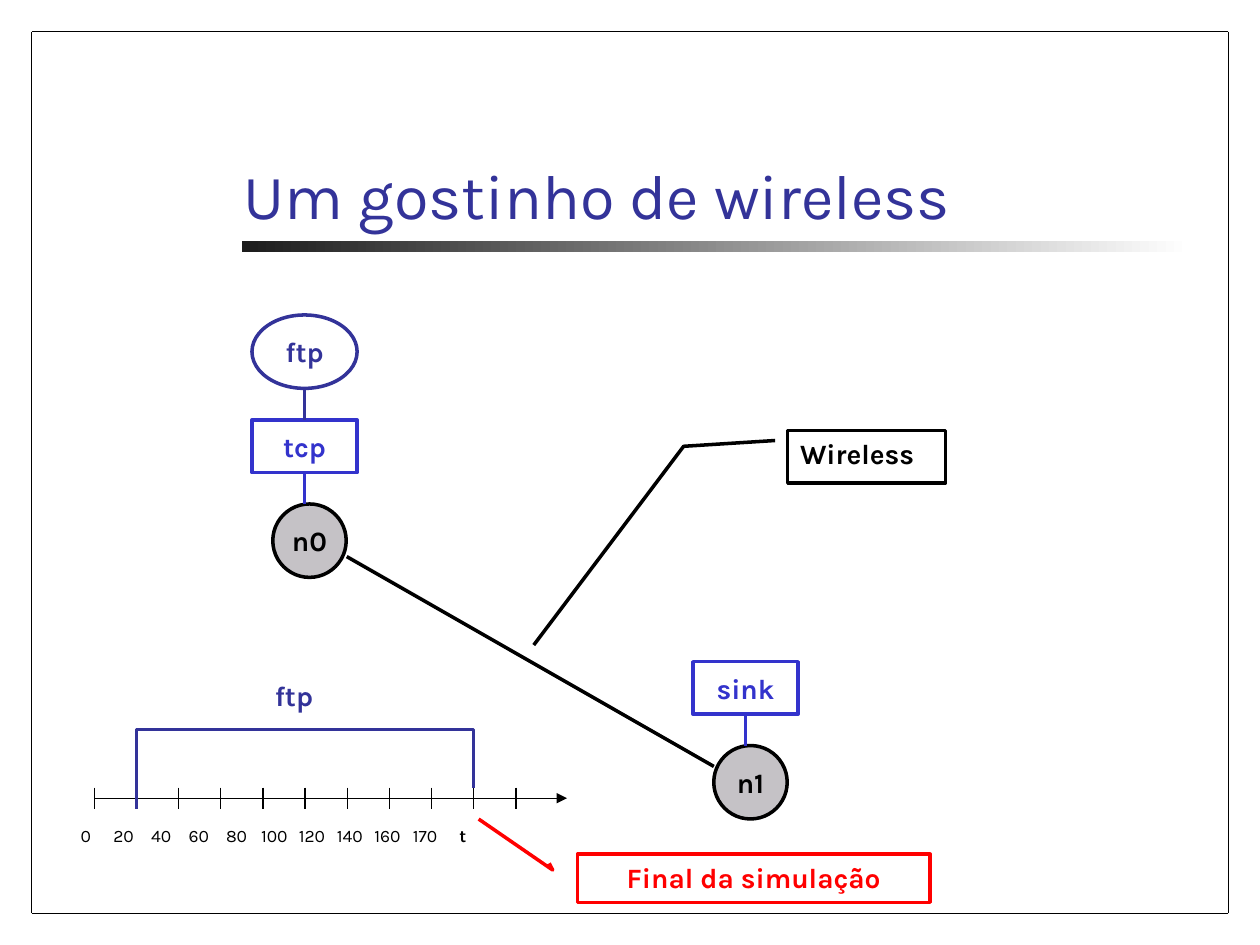
from lxml import etree
from pptx import Presentation
from pptx.dml.color import RGBColor
from pptx.enum.shapes import MSO_CONNECTOR as Link, MSO_SHAPE as Shape
from pptx.enum.text import MSO_ANCHOR as Anchor, MSO_AUTO_SIZE as AutoSize, PP_ALIGN as Align
from pptx.oxml.ns import qn
from pptx.util import Cm, Pt

COLORS = {
    "black": "000000", "white": "FFFFFF", "navy": "333399", "blue": "3333CC",
    "red": "FF0000", "gray": "C5C2C6", "charcoal": "1C1C1C",
}
FONT = "Karla"


def rgb(name):
    return RGBColor.from_string(COLORS[name])


def add_text(para, text, size=16, color="black", bold=True, align=Align.LEFT):
    para.alignment = align
    span = para.add_run()
    span.text = text
    span.font.name = FONT
    span.font.size = Pt(size)
    span.font.bold = bold
    span.font.color.rgb = rgb(color)


class Diagram:
    """Holds the line weights and the current page."""
    thick = Pt(2)
    thin = Pt(0.75)

    def __init__(self, page):
        self.page = page

    def title(self, text, left, top, width, height):
        box = self.page.shapes.title
        box.left, box.top, box.width, box.height = map(Cm, (left, top, width, height))
        frame = box.text_frame
        frame.auto_size = AutoSize.NONE
        frame.vertical_anchor = Anchor.BOTTOM
        add_text(frame.paragraphs[0], text, size=36, color="navy", bold=False)

    def gradient_bar(self, left, top, width, height):
        bar = self.page.shapes.add_shape(
            Shape.RECTANGLE, *map(Cm, (left, top, width, height)))
        bar.shadow.inherit = False
        bar.line.fill.background()
        bar.fill.gradient()
        bar.fill.gradient_angle = 180
        for stop, color in zip(bar.fill.gradient_stops, ("white", "charcoal")):
            stop.color.rgb = rgb(color)

    def box(self, kind, text, left, top, width, height, color="black", fill=None,
            anchor=Anchor.MIDDLE, align=Align.CENTER, wrap=False):
        box = self.page.shapes.add_shape(kind, *map(Cm, (left, top, width, height)))
        box.shadow.inherit = False
        if fill:
            box.fill.solid()
            box.fill.fore_color.rgb = rgb(fill)
        else:
            box.fill.background()
        box.line.color.rgb = rgb(color)
        box.line.width = self.thick
        frame = box.text_frame
        frame.word_wrap = wrap
        frame.vertical_anchor = anchor
        add_text(frame.paragraphs[0], text, color=color, align=align)
        return box

    def callout(self, text, left, top, width, height, pointer, **style):
        box = self.box(Shape.LINE_CALLOUT_2, text, left, top, width, height,
                       anchor=Anchor.TOP, wrap=True, **style)
        for index, value in enumerate(pointer):
            box.adjustments[index] = value

    def label(self, left, top, width, height, wrap=False):
        box = self.page.shapes.add_textbox(*map(Cm, (left, top, width, height)))
        box.text_frame.word_wrap = wrap
        return box.text_frame.paragraphs[0]

    def line(self, start, end, color="black", width=None, arrow=False):
        line = self.page.shapes.add_connector(Link.STRAIGHT, *map(Cm, (*start, *end)))
        line.line.color.rgb = rgb(color)
        line.line.width = width or self.thick
        if arrow:
            etree.SubElement(line.line._get_or_add_ln(), qn("a:tailEnd"), type="triangle")
        etree.SubElement(line._element.spPr, qn("a:effectLst"))
        return line

    def polyline(self, points, color):
        first, *rest = [tuple(map(Cm, point)) for point in points]
        builder = self.page.shapes.build_freeform(*first)
        builder.add_line_segments(rest, close=False)
        outline = builder.convert_to_shape()
        outline.shadow.inherit = False
        outline.fill.background()
        outline.line.color.rgb = rgb(color)
        outline.line.width = self.thick


def center_tabs(para, first, step, count):
    tabs = etree.SubElement(para._p.get_or_add_pPr(), qn("a:tabLst"))
    for index in range(count):
        etree.SubElement(tabs, qn("a:tab"), pos=str(Cm(first + index * step)), algn="ctr")


def main():
    deck = Presentation()
    deck.slide_width, deck.slide_height = Cm(25.4), Cm(19.05)
    page = deck.slides.add_slide(deck.slide_layouts[5])
    diagram = Diagram(page)

    # Frame, bar and title
    diagram.gradient_bar(4.87, 4.85, 19.13, 0.23)
    near, right, bottom = 0.64, 24.76, 18.41
    corners = [(near, near), (right, near), (right, bottom), (near, bottom)]
    for start, end in zip(corners, corners[1:] + corners[:1]):
        diagram.line(start, end, width=diagram.thin)
    diagram.title("Um gostinho de wireless", 4.66, 1.62, 19.26, 3.18)

    # Nodes and agents
    diagram.box(Shape.OVAL, "ftp", 5.08, 6.35, 2.12, 1.48, color="navy")
    tcp = diagram.box(Shape.RECTANGLE, "tcp", 5.08, 8.47, 2.12, 1.06, color="blue")
    sink = diagram.box(Shape.RECTANGLE, "sink", 13.97, 13.34, 2.12, 1.06, color="blue")
    for name, left, top in (("n0", 5.5, 10.16), ("n1", 14.39, 15.03)):
        diagram.box(Shape.OVAL, name, left, top, 1.48, 1.48, fill="gray")

    # Links
    diagram.line((6.99, 11.22), (14.39, 15.45))
    for x, start_y, end_y, agent, side, color in (
            (6.14, 7.83, 8.47, tcp, 0, "navy"),
            (6.14, 10.16, 9.53, tcp, 2, "blue"),
            (15.03, 15.03, 14.4, sink, 2, "blue")):
        link = diagram.line((x, start_y), (x, end_y), color=color)
        link.end_connect(agent, side)

    # Callouts
    diagram.callout("Wireless", 15.88, 8.68, 3.18, 1.06, align=Align.LEFT,
                    pointer=(0.19, -0.08, 0.3, -0.66, 4.08, -1.61))
    diagram.callout("Final da simulação", 11.64, 17.22, 7.11, 0.97, color="red",
                    pointer=(0.19, -0.08, 0.33, -0.07, -0.73, -0.28))

    # Time axis
    axis_left, tick_step, tick_top, tick_bottom = 1.9, 0.85, 15.88, 16.3
    diagram.line((axis_left, 16.09), (11.43, 16.09), width=diagram.thin, arrow=True)
    for index in range(11):
        x = axis_left + index * tick_step
        diagram.line((x, tick_top), (x, tick_bottom), width=diagram.thin)
    times = (0, 20, 40, 60, 80, 100, 120, 140, 160, 170)
    para = diagram.label(1.06, 16.51, 10.58, 0.69, wrap=True)
    center_tabs(para, first=0.42, step=0.76, count=len(times) + 1)
    add_text(para, "".join(f"\t{time}" for time in times) + "\t", size=10, bold=False)
    add_text(para, "t", size=10)

    # Period of the ftp transfer
    add_text(diagram.label(5.29, 13.55, 1.31, 0.93), "ftp", color="navy")
    start_x, end_x = axis_left + tick_step, axis_left + 9 * tick_step
    diagram.polyline([(start_x, tick_bottom), (start_x, 14.71),
                      (end_x, 14.71), (end_x, tick_top)], "navy")

    deck.save("out.pptx")


if __name__ == "__main__":
    main()
